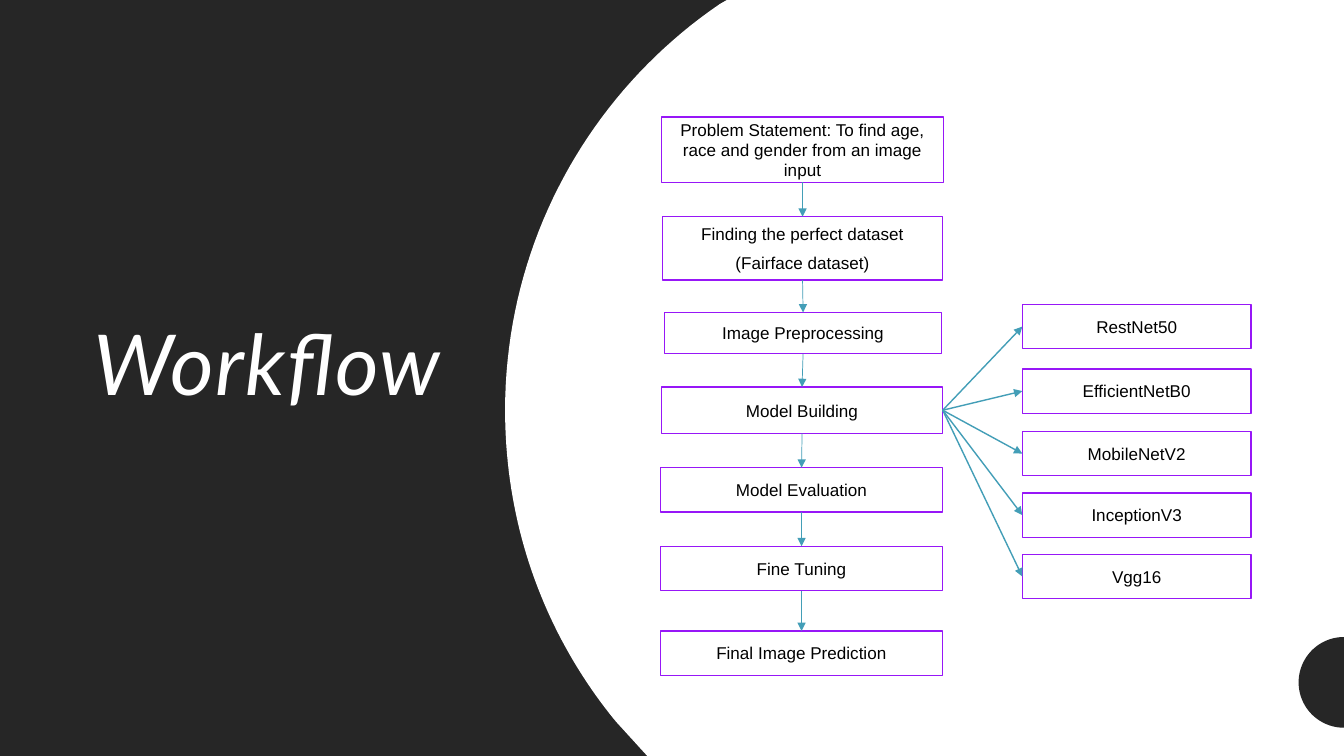
from dataclasses import dataclass
from itertools import pairwise
from math import cos, pi, sin

from lxml.etree import SubElement
from pptx import Presentation
from pptx.dml.color import RGBColor
from pptx.enum.shapes import MSO_CONNECTOR, MSO_SHAPE
from pptx.enum.text import MSO_ANCHOR, PP_ALIGN
from pptx.oxml.ns import qn
from pptx.shapes.autoshape import Shape
from pptx.shapes.connector import Connector
from pptx.slide import Slide
from pptx.util import Inches, Pt

Point = tuple[float, float]

WIDTH, HEIGHT = 13.33, 7.5
DARK, WHITE, BLACK = "262626", "FFFFFF", "000000"
PURPLE, TEAL = "9717F7", "439EB7"
BOTTOM, LEFT, TOP, RIGHT = 2, 1, 0, 3


@dataclass(frozen=True)
class Box:
    text: str
    left: float
    top: float
    width: float
    height: float


STEPS = [
    Box("Problem Statement: To find age, race and gender from an image input", 6.56, 1.16, 2.8, 0.65),
    Box("Finding the perfect dataset\n(Fairface dataset)", 6.57, 2.15, 2.78, 0.63),
    Box("Image Preprocessing", 6.59, 3.1, 2.75, 0.41),
    Box("Model Building", 6.56, 3.84, 2.79, 0.46),
    Box("Model Evaluation", 6.55, 4.64, 2.8, 0.44),
    Box("Fine Tuning", 6.55, 5.42, 2.8, 0.44),
    Box("Final Image Prediction", 6.55, 6.26, 2.8, 0.44),
]
BRANCHING_STEP = 3
MODELS = [
    Box(name, 10.14, top, 2.27, 0.44)
    for name, top in [
        ("RestNet50", 3.02),
        ("EfficientNetB0", 3.66),
        ("MobileNetV2", 4.28),
        ("InceptionV3", 4.89),
        ("Vgg16", 5.5),
    ]
]


def color(value: str) -> RGBColor:
    return RGBColor.from_string(value)


def fill_plain(shape: Shape, fill: str) -> None:
    """Give the shape a solid fill, with no outline or shadow."""
    shape.shadow.inherit = False
    shape.fill.solid()
    shape.fill.fore_color.rgb = color(fill)
    shape.line.fill.background()


def bezier(start: Point, control1: Point, control2: Point, end: Point, count: int = 40) -> list[Point]:
    """Return points along a cubic curve, without its start."""
    points = []
    for index in range(1, count + 1):
        t = index / count
        weights = ((1 - t) ** 3, 3 * t * (1 - t) ** 2, 3 * t**2 * (1 - t), t**3)
        corners = (start, control1, control2, end)
        points.append((
            sum(weight * x for weight, (x, _) in zip(weights, corners)),
            sum(weight * y for weight, (_, y) in zip(weights, corners)),
        ))
    return points


def add_outline(slide: Slide, points: list[Point], fill: str) -> None:
    vertices = [(Inches(x), Inches(y)) for x, y in points]
    builder = slide.shapes.build_freeform(*vertices[0])
    builder.add_line_segments(vertices[1:], close=True)
    fill_plain(builder.convert_to_shape(), fill)


def add_background(slide: Slide) -> None:
    panel = slide.shapes.add_shape(MSO_SHAPE.RECTANGLE, 0, 0, Inches(WIDTH), Inches(HEIGHT))
    fill_plain(panel, DARK)

    lower_edge, leftmost, upper_edge = (6.11, 7.16), (5.01, 4.07), (7.14, 0.04)
    curve = [
        lower_edge,
        *bezier(lower_edge, (5.42, 6.32), (5.01, 5.25), leftmost),
        *bezier(leftmost, (5.01, 2.4), (5.85, 0.92), upper_edge),
    ]
    add_outline(slide, [(7.21, 0), (WIDTH, 0), (WIDTH, HEIGHT), (6.42, HEIGHT), *curve], WHITE)

    radius, center_y, count = 0.45, 6.77, 48
    angles = [pi * index / count for index in range(count + 1)]
    half_circle = [(WIDTH - radius * sin(a), center_y - radius * cos(a)) for a in angles]
    add_outline(slide, half_circle, DARK)


def add_title(slide: Slide) -> None:
    title = slide.shapes.add_textbox(Inches(0.83), Inches(1.16), Inches(3.7), Inches(4.99))
    frame = title.text_frame
    frame.word_wrap = True
    frame.vertical_anchor = MSO_ANCHOR.MIDDLE
    frame.text = "Workflow"
    paragraph = frame.paragraphs[0]
    paragraph.line_spacing = 0.9
    run = paragraph.runs[0]
    run.font.name = "Lato"
    run.font.size = Pt(60)
    run.font.italic = True
    run.font.color.rgb = color(WHITE)
    run.font._element.set("spc", "100")


def add_box(slide: Slide, box: Box) -> Shape:
    shape = slide.shapes.add_shape(
        MSO_SHAPE.RECTANGLE, Inches(box.left), Inches(box.top), Inches(box.width), Inches(box.height)
    )
    fill_plain(shape, WHITE)
    shape.line.color.rgb = color(PURPLE)
    shape.line.width = Pt(1)
    frame = shape.text_frame
    frame.word_wrap = True
    frame.vertical_anchor = MSO_ANCHOR.MIDDLE
    frame.text = box.text
    for paragraph in frame.paragraphs:
        paragraph.alignment = PP_ALIGN.CENTER
        paragraph.space_after = Pt(6)
        for run in paragraph.runs:
            run.font.name = "Arial"
            run.font.size = Pt(12.2)
            run.font.color.rgb = color(BLACK)
    return shape


def add_arrow(slide: Slide, source: Shape, source_side: int, target: Shape, target_side: int,
              width: float) -> Connector:
    arrow = slide.shapes.add_connector(MSO_CONNECTOR.STRAIGHT, 0, 0, 0, 0)
    arrow.begin_connect(source, source_side)
    arrow.end_connect(target, target_side)
    arrow.line.color.rgb = color(TEAL)
    arrow.line.width = Pt(width)
    SubElement(arrow.line._get_or_add_ln(), qn("a:tailEnd"), type="triangle")
    SubElement(arrow._element.spPr, qn("a:effectLst"))
    return arrow


def main() -> None:
    presentation = Presentation()
    presentation.slide_width = Inches(WIDTH)
    presentation.slide_height = Inches(HEIGHT)
    slide = presentation.slides.add_slide(presentation.slide_layouts[6])

    add_background(slide)
    add_title(slide)
    steps = [add_box(slide, box) for box in STEPS]
    models = [add_box(slide, box) for box in MODELS]
    for upper, lower in pairwise(steps):
        add_arrow(slide, upper, BOTTOM, lower, TOP, 0.5)
    for model in models:
        add_arrow(slide, steps[BRANCHING_STEP], RIGHT, model, LEFT, 1)

    presentation.save("out.pptx")


if __name__ == "__main__":
    main()
